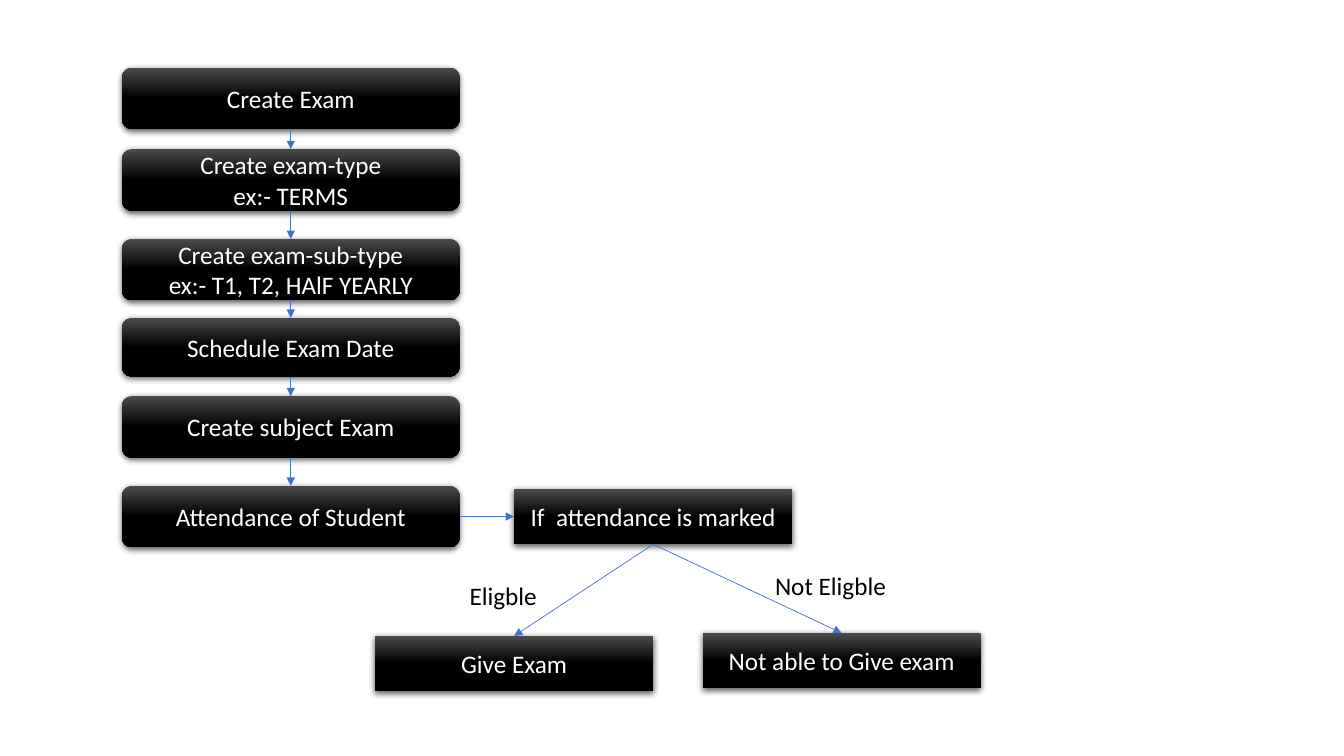
from dataclasses import dataclass

from lxml import etree
from pptx import Presentation
from pptx.dml.color import RGBColor
from pptx.enum.shapes import MSO_CONNECTOR, MSO_SHAPE
from pptx.enum.text import MSO_ANCHOR, MSO_AUTO_SIZE, PP_ALIGN
from pptx.oxml.ns import qn
from pptx.util import Pt

ROUNDED, RECTANGLE = MSO_SHAPE.ROUNDED_RECTANGLE, MSO_SHAPE.RECTANGLE
STRAIGHT = MSO_CONNECTOR.STRAIGHT
MIDDLE, CENTER, LEFT = MSO_ANCHOR.MIDDLE, PP_ALIGN.CENTER, PP_ALIGN.LEFT
FIT_SHAPE = MSO_AUTO_SIZE.SHAPE_TO_FIT_TEXT
TOP_SITE, LEFT_SITE, BOTTOM_SITE, RIGHT_SITE = range(4)


@dataclass(frozen=True)
class Theme:
    font: str = "Calibri"
    text_size: float = 18
    box_top: RGBColor = RGBColor(0x4B, 0x4B, 0x4B)
    box_base: RGBColor = RGBColor(0, 0, 0)
    box_text: RGBColor = RGBColor(255, 255, 255)
    label_text: RGBColor = RGBColor(0, 0, 0)
    arrow: RGBColor = RGBColor(0x44, 0x72, 0xC4)
    arrow_width: float = 0.5


THEME = Theme()

# Text, top, height
STEPS = [
    ("Create Exam", 48.24, 43.92),
    ("Create exam-type\nex:- TERMS", 106.56, 43.92),
    ("Create exam-sub-type\nex:- T1, T2, HAlF YEARLY", 170.64, 43.92),
    ("Schedule Exam Date", 227, 42),
    ("Create subject Exam", 282.96, 43.92),
    ("Attendance of Student", 347.04, 43.92),
]
STEP_LEFT, STEP_WIDTH = 87.12, 241.2

# Text, left, top
DECISION = ("If  attendance is marked", 367.2, 349.2)
OUTCOMES = [("Give Exam", 267.84, 454.32), ("Not able to Give exam", 501.84, 452.16)]
BRANCH_WIDTH, BRANCH_HEIGHT = 198.72, 39.6
LABELS = [("Eligble", 328.32, 411.12), ("Not Eligble", 546.48, 403.92)]
LABEL_WIDTH, LABEL_HEIGHT = 118.8, 28.8


def write(shape, text, color, alignment):
    shape.text_frame.word_wrap = True
    paragraph = shape.text_frame.paragraphs[0]
    paragraph.text = text
    paragraph.alignment = alignment
    paragraph.font.name = THEME.font
    paragraph.font.size = Pt(THEME.text_size)
    paragraph.font.color.rgb = color


def add_drop_shadow(shape):
    shape.shadow.inherit = False
    effects = shape.element.spPr.find(qn("a:effectLst"))
    shadow = etree.SubElement(
        effects, qn("a:outerShdw"), blurRad=str(Pt(4.5)), dist=str(Pt(1.5)),
        dir="5400000", algn="ctr", rotWithShape="0")
    color = etree.SubElement(shadow, qn("a:srgbClr"), val="000000")
    etree.SubElement(color, qn("a:alpha"), val="63000")


def add_box(slide, kind, text, left, top, width, height):
    box = slide.shapes.add_shape(kind, Pt(left), Pt(top), Pt(width), Pt(height))
    box.fill.gradient()
    box.fill.gradient_angle = 270
    stops = zip(box.fill.gradient_stops, (0, 0.5), (THEME.box_top, THEME.box_base))
    for stop, position, color in stops:
        stop.position = position
        stop.color.rgb = color
    box.line.fill.background()
    add_drop_shadow(box)
    box.text_frame.vertical_anchor = MIDDLE
    write(box, text, THEME.box_text, CENTER)
    return box


def add_branch_box(slide, text, left, top):
    return add_box(slide, RECTANGLE, text, left, top, BRANCH_WIDTH, BRANCH_HEIGHT)


def add_arrow(slide, source, target, source_site=BOTTOM_SITE, target_site=TOP_SITE):
    arrow = slide.shapes.add_connector(STRAIGHT, 0, 0, 0, 0)
    arrow.begin_connect(source, source_site)
    arrow.end_connect(target, target_site)
    arrow.line.color.rgb = THEME.arrow
    arrow.line.width = Pt(THEME.arrow_width)
    properties = arrow.element.spPr
    etree.SubElement(properties.find(qn("a:ln")), qn("a:tailEnd"), type="triangle")
    etree.SubElement(properties, qn("a:effectLst"))


def add_label(slide, text, left, top):
    label = slide.shapes.add_textbox(Pt(left), Pt(top), Pt(LABEL_WIDTH), Pt(LABEL_HEIGHT))
    write(label, text, THEME.label_text, LEFT)
    label.text_frame.auto_size = FIT_SHAPE


def main():
    presentation = Presentation()
    presentation.slide_width, presentation.slide_height = Pt(960), Pt(540)
    slide = presentation.slides.add_slide(presentation.slide_layouts[6])

    steps = [add_box(slide, ROUNDED, text, STEP_LEFT, top, STEP_WIDTH, height)
             for text, top, height in STEPS]
    decision = add_branch_box(slide, *DECISION)
    outcomes = [add_branch_box(slide, *outcome) for outcome in OUTCOMES]

    for step, next_step in zip(steps, steps[1:]):
        add_arrow(slide, step, next_step)
    add_arrow(slide, steps[-1], decision, RIGHT_SITE, LEFT_SITE)
    for outcome in outcomes:
        add_arrow(slide, decision, outcome)
    for label in LABELS:
        add_label(slide, *label)

    presentation.save("out.pptx")


if __name__ == "__main__":
    main()
